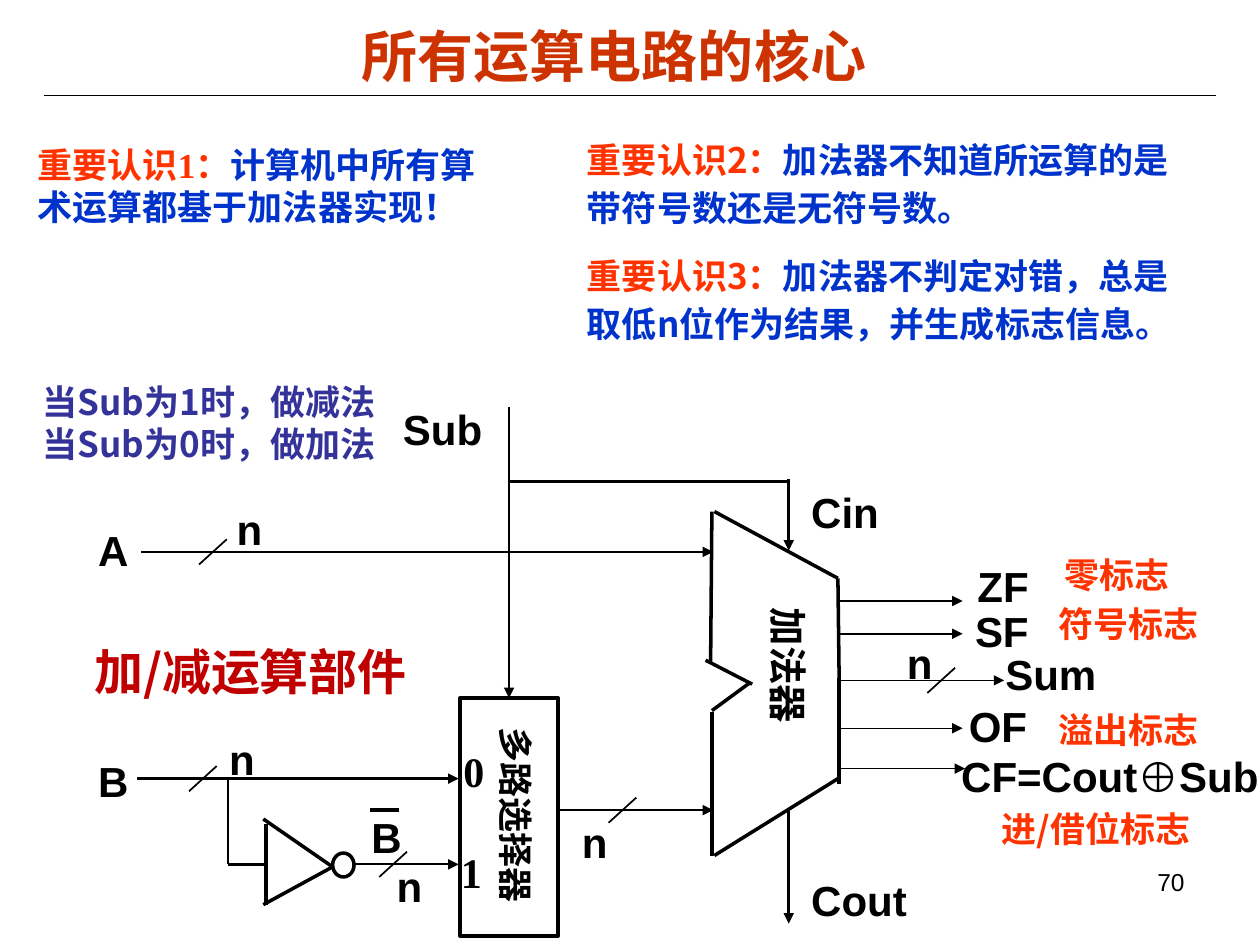
from lxml import etree
from pptx import Presentation
from pptx import util as u
from pptx.dml.color import RGBColor
from pptx.enum import shapes as sh, text as tx
from pptx.oxml import ns

HUES = {"ink": "000000", "paper": "FFFFFF", "title": "CC3300", "key": "FF3300",
        "body": "0033CC", "mode": "333399", "part": "C00000"}
SANS, SERIF, CJK = "Arial", "Times New Roman", "Noto Sans CJK SC"

# Text: place, paragraphs of (words, colour) runs, size, font
NOTES = [
    ((0.24, 2.97, 3.1, 0.77), [[("当Sub为1时，做减法", "mode")],
                               [("当Sub为0时，做加法", "mode")]], 20, CJK, {"mid": True}),
    ((0.2, 1.09, 3.89, 0.77), [[("重要认识1：", "key"),
                                ("计算机中所有算术运算都基于加法器实现！", "body")]], 20, SERIF, {}),
    ((4.56, 1, 5.05, 1.79),
     [[("重要认识2：", "key"), ("加法器不知道所运算的是带符号数还是无符号数。", "body")],
      [("重要认识3：", "key"),
       ("加法器不判定对错，总是取低n位作为结果，并生成标志信息。", "body")]],
     20, CJK, {"lead": 1.15, "gap": 11}),
    ((0.65, 5.04, 2.9, 1.04), [[("加/减运算部件", "part")]], 28, CJK, {}),
    ((5.42, 5.34, 1.69, 0.46), [[("加法器", "ink")]], 22, SANS, {"turn": 90}),
    ((3.19, 6.37, 1.82, 0.43), [[("多路选择器", "ink")]], 20, SANS, {"turn": 90}),
    ((7.53, 5.91, 2.59, 0.5), [[("CF=Cout⊕Sub", "ink")]], 24, SANS, {}),
]
FLAGS = [("溢出标志", 8.3, 5.57, 1.44, 0.44), ("零标志", 8.35, 4.34, 1.13, 0.44),
         ("符号标志", 8.3, 4.73, 1.38, 0.44), ("进/借位标志", 7.85, 6.36, 1.79, 0.77)]

# Signal names: word, left, top, width
NAMES = [("A", 0.68, 4.11, 0.44), ("B", 0.68, 5.95, 0.44), ("B", 2.85, 6.39, 0.44),
         ("Sub", 3.1, 3.15, 0.83), ("Cin", 6.34, 3.81, 0.74), ("Cout", 6.34, 6.89, 0.96),
         ("ZF", 7.66, 4.4, 0.64), ("SF", 7.64, 4.76, 0.66), ("Sum", 7.88, 5.1, 0.92),
         ("OF", 7.59, 5.51, 0.68)]
WIDTHS = [(1.78, 3.95), (4.52, 6.43), (7.1, 5.01), (1.72, 5.77), (3.05, 6.78)]
PORTS = [("0", 3.58, 5.87), ("1", 3.56, 6.67)]

# Wiring: shared columns and rows of the circuit
SUB, CAR, ADD, OUT = 4.04, 6.26, 5.66, 6.66
ROW_A, ROW_B, ROW_N, ROW_M = 4.38, 6.18, 6.86, 6.43
MUX = (3.65, 5.54, 0.78, 1.89)
RING = (2.64, 6.77, 0.17, 0.19)
SLASH = [(4.94, ROW_M), (1.69, ROW_A), (7.47, 5.4), (1.61, ROW_B), (3.12, ROW_N)]
OUTS = [(4.77, 7.64, 1), (5.03, 7.64, 1), (5.4, 7.97, 1), (5.78, 7.64, 0.75), (6.1, 7.66, 1)]

ARROWS = [(1.12, ROW_A, ADD, ROW_A, 1.5), (1.09, ROW_B, 3.64, ROW_B, 1.5),
          (2.81, ROW_N, 3.64, ROW_N, 1), (4.43, ROW_M, ADD, ROW_M, 1.5),
          (CAR, 3.8, CAR, 4.37, 1.5), (CAR, 6.44, CAR, 7.33, 1.5)]
ARROWS += [(OUT, y, x, y, w) for y, x, w in OUTS]
WIRES = [(SUB, 3.82, CAR, 3.82), (1.81, ROW_B, 1.81, ROW_N), (1.81, ROW_N, 2.1, ROW_N)]
EDGES = [  # adder outline, then inverter
    (5.65, 4.06, 5.64, 5.26), (5.67, 4.06, 6.65, 4.59), (5.6, 5.24, 5.97, 5.43),
    (6.65, 4.59, 6.66, 5.38), (5.65, 6.79, 5.65, 5.65), (5.67, 6.79, 6.65, 6.18),
    (5.65, 5.64, 5.95, 5.42), (6.66, 6.22, 6.66, 5.38),
    (2.64, 6.88, 2.09, 6.5), (2.64, 6.88, 2.09, 7.18), (2.11, 6.54, 2.11, 7.18)]

deck = Presentation()
deck.slide_width, deck.slide_height = u.Inches(10), u.Inches(7.5)
page = deck.slides.add_slide(deck.slide_layouts[6])


def inch(vals):
    return [u.Inches(v) for v in vals]


def hue(name):
    return RGBColor.from_string(HUES[name])


def line(x, y, x2, y2, width, arrow=False):
    wire = page.shapes.add_connector(sh.MSO_CONNECTOR.STRAIGHT, *inch((x, y, x2, y2)))
    wire.line.color.rgb, wire.line.width = hue("ink"), u.Pt(width)
    if arrow:
        etree.SubElement(wire.line._get_or_add_ln(), ns.qn("a:tailEnd"), type="triangle")
    etree.SubElement(wire._element.spPr, ns.qn("a:effectLst"))
    return wire


def shape(kind, at, fill=None, width=None):
    item = page.shapes.add_shape(kind, *inch(at))
    item.shadow.inherit = False
    if fill:
        item.fill.solid()
        item.fill.fore_color.rgb = hue(fill)
    else:
        item.fill.background()
    if width:
        item.line.color.rgb, item.line.width = hue("ink"), u.Pt(width)
    else:
        item.line.fill.background()
    return item


def write(item, paras, size, face, bold=True, wrap=True, mid=False, lead=None,
          gap=0, turn=0, side=tx.PP_ALIGN.LEFT):
    item.rotation = turn
    frame = item.text_frame
    frame.word_wrap = wrap
    frame.auto_size = tx.MSO_AUTO_SIZE.SHAPE_TO_FIT_TEXT
    frame.vertical_anchor = tx.MSO_ANCHOR.MIDDLE if mid else tx.MSO_ANCHOR.TOP
    for i, runs in enumerate(paras):
        para = frame.add_paragraph() if i else frame.paragraphs[0]
        para.alignment = side
        if lead:
            para.line_spacing = lead
        if i and gap:
            para.space_before = u.Pt(gap)
        for words, tone in runs:
            run = para.add_run()
            run.text = words
            font = run.font
            font.size, font.bold, font.name = u.Pt(size), bold, face
            font.color.rgb = hue(tone)
            etree.SubElement(run._r.get_or_add_rPr(), ns.qn("a:ea"), typeface=CJK)


def label(at, paras, size, face, **more):
    write(page.shapes.add_textbox(*inch(at)), paras, size, face, **more)


# Heading and rule
line(0.35, 0.76, 9.65, 0.76, 0.75)
label((1.26, 0.15, 7.23, 0.58), [[("所有运算电路的核心", "title")]], 32, SANS,
      mid=True, side=tx.PP_ALIGN.CENTER)

# Circuit
mux = shape(sh.MSO_SHAPE.RECTANGLE, MUX, width=2)
shape(sh.MSO_SHAPE.OVAL, RING, width=2)
for ends in EDGES:
    line(*ends, 2)
for ends in WIRES:
    line(*ends, 1.5)
for ends in ARROWS:
    line(*ends, arrow=True)
line(SUB, 3.23, SUB, 5.54, 1.5, arrow=True).end_connect(mux, 0)
for x, y in SLASH:
    line(x + 0.11, y - 0.1, x - 0.11, y + 0.1, 1)
line(2.94, 6.43, 3.17, 6.43, 2.25)  # bar over B

# Signal names
for word, x, y, w in NAMES + [("n", x, y, 0.4) for x, y in WIDTHS]:
    label((x, y, w, 0.5), [[(word, "ink")]], 24, SANS, wrap=False)
for word, x, y in PORTS:
    label((x, y, 0.36, 0.5), [[(word, "ink")]], 24, SERIF, wrap=False)

# Notes, flag meanings and page number
for at, paras, size, face, more in NOTES:
    label(at, paras, size, face, **more)
for word, *at in FLAGS:
    write(shape(sh.MSO_SHAPE.RECTANGLE, at, fill="paper"), [[(word, "key")]], 20, CJK)
label((7.17, 6.83, 2.33, 0.52), [[("70", "ink")]], 14, SANS, bold=False,
      side=tx.PP_ALIGN.RIGHT)

deck.save("out.pptx")
